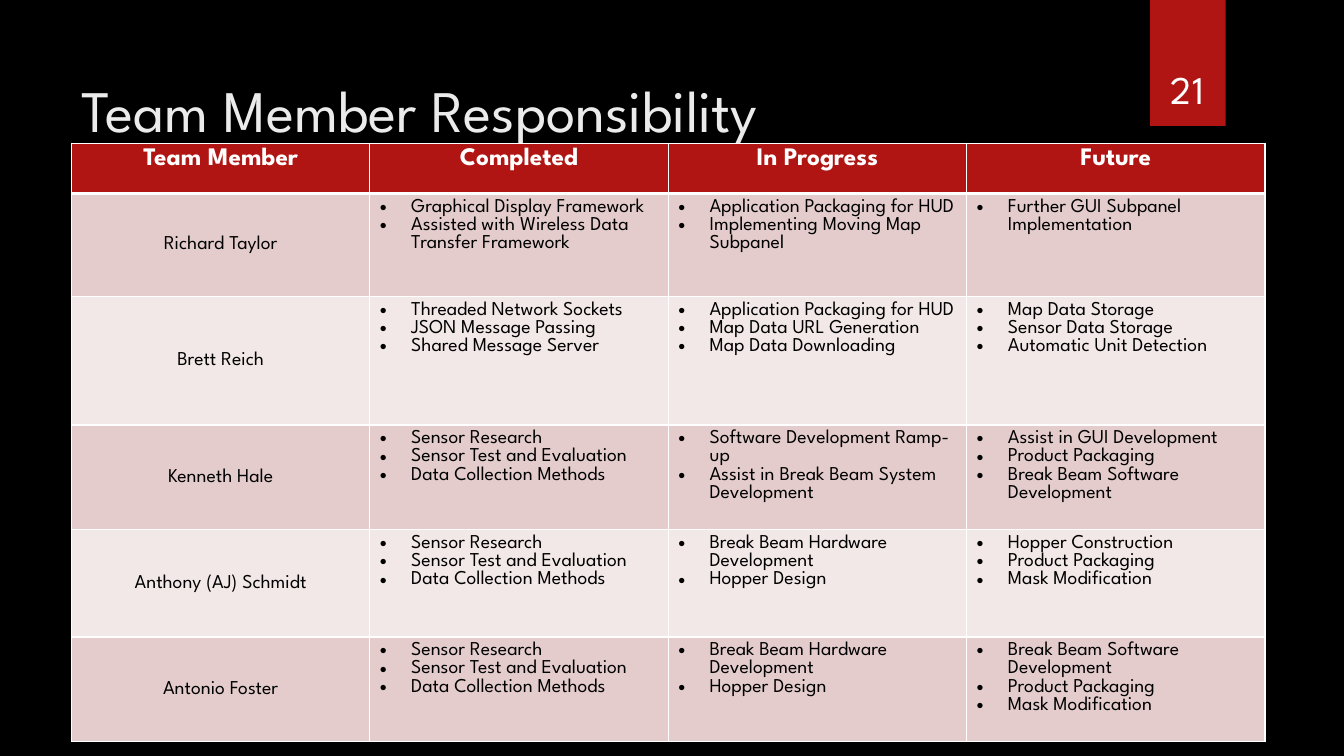
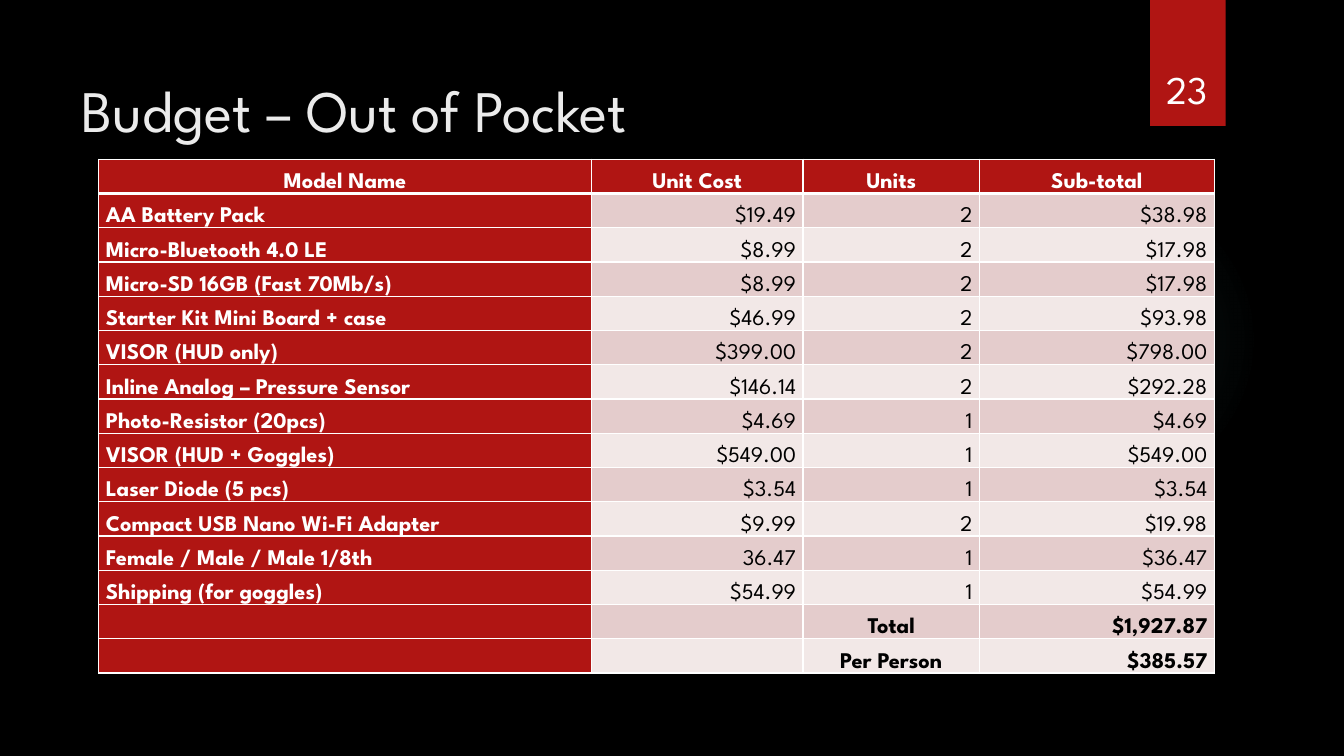
"""Build two project slides: team responsibilities and out-of-pocket budget."""
from lxml.etree import SubElement
from pptx import Presentation
from pptx.dml.color import RGBColor
from pptx.enum.shapes import MSO_SHAPE
from pptx.enum.text import MSO_ANCHOR, PP_ALIGN
from pptx.oxml import parse_xml
from pptx.oxml.ns import nsdecls, qn
from pptx.util import Inches, Pt

FONT = "League Spartan"
BLACK = RGBColor(0x00, 0x00, 0x00)
WHITE = RGBColor(0xFF, 0xFF, 0xFF)
TITLE_GREY = RGBColor(0xEB, 0xEB, 0xEB)
RED = RGBColor(0xB0, 0x15, 0x13)
DARK_BAND = RGBColor(0xE4, 0xCC, 0xCC)
LIGHT_BAND = RGBColor(0xF2, 0xE8, 0xE7)
GLOW = RGBColor(0x50, 0xB9, 0xC1)

COLUMNS, ROWS = 80, 45
UNIT = Inches(7.5) // ROWS

SENSOR_WORK = ["Sensor Research", "Sensor Test and Evaluation", "Data Collection Methods"]
BEAM_WORK = ["Break Beam Hardware Development", "Hopper Design"]
TEAM_HEADINGS = ["Team Member", "Completed", "In Progress", "Future"]
TEAM = [
    ("Richard Taylor",
     ["Graphical Display Framework", "Assisted with Wireless Data Transfer Framework"],
     ["Application Packaging for HUD", "Implementing Moving Map Subpanel"],
     ["Further GUI Subpanel Implementation"]),
    ("Brett Reich",
     ["Threaded Network Sockets", "JSON Message Passing", "Shared Message Server"],
     ["Application Packaging for HUD", "Map Data URL Generation", "Map Data Downloading"],
     ["Map Data Storage", "Sensor Data Storage", "Automatic Unit Detection"]),
    ("Kenneth Hale",
     SENSOR_WORK,
     ["Software Development Ramp-up", "Assist in Break Beam System Development"],
     ["Assist in GUI Development", "Product Packaging", "Break Beam Software Development"]),
    ("Anthony (AJ) Schmidt",
     SENSOR_WORK,
     BEAM_WORK,
     ["Hopper Construction", "Product Packaging", "Mask Modification"]),
    ("Antonio Foster",
     SENSOR_WORK,
     BEAM_WORK,
     ["Break Beam Software Development", "Product Packaging", "Mask Modification"]),
]

BUDGET_HEADINGS = ["Model Name", "Unit Cost", "Units", "Sub-total"]
PURCHASES = [
    ("AA Battery Pack", "$19.49", "2", "$38.98"),
    ("Micro-Bluetooth 4.0 LE", "$8.99", "2", "$17.98"),
    ("Micro-SD 16GB (Fast 70Mb/s)", "$8.99", "2", "$17.98"),
    ("Starter Kit Mini Board + case", "$46.99", "2", "$93.98"),
    ("VISOR (HUD only)", "$399.00", "2", "$798.00"),
    ("Inline Analog – Pressure Sensor", "$146.14", "2", "$292.28"),
    ("Photo-Resistor (20pcs)", "$4.69", "1", "$4.69"),
    ("VISOR (HUD + Goggles)", "$549.00", "1", "$549.00"),
    ("Laser Diode (5 pcs)", "$3.54", "1", "$3.54"),
    ("Compact USB Nano Wi-Fi Adapter", "$9.99", "2", "$19.98"),
    ("Female / Male / Male 1/8th", "36.47", "1", "$36.47"),
    ("Shipping (for goggles)", "$54.99", "1", "$54.99"),
]
TOTALS = [("", "", "Total", "$1,927.87"), ("", "", "Per Person", "$385.57")]


def grid(*lengths):
    """Turn grid columns or rows into slide lengths."""
    return [round(length * UNIT) for length in lengths]


class Deck:
    """Hold the shared style and the slide being built."""

    def __init__(self):
        """Start a widescreen deck on a black master."""
        self.presentation = Presentation()
        self.presentation.slide_width = COLUMNS * UNIT
        self.presentation.slide_height = ROWS * UNIT
        backdrop = self.presentation.slide_master.background.fill
        backdrop.solid()
        backdrop.fore_color.rgb = BLACK
        self.slide = None

    def new_slide(self, heading, number):
        """Add a slide with its title, glow and numbered ribbon."""
        layout = self.presentation.slide_layouts.get_by_name("Title Only")
        self.slide = self.presentation.slides.add_slide(layout)
        self.title(heading)
        self.glow()
        self.ribbon(number)

    def set_text(self, paragraph, text, size, color, bold=False, align=PP_ALIGN.LEFT):
        """Fill one paragraph in the shared font."""
        paragraph.text = text
        paragraph.alignment = align
        font = paragraph.font
        font.name, font.size, font.bold = FONT, Pt(size), bold
        font.color.rgb = color

    def title(self, heading):
        """Place and format the title placeholder."""
        title = self.slide.shapes.title
        title.left, title.top, title.width, title.height = grid(4.26, 3, 61.74, 9.18)
        frame = title.text_frame
        frame.vertical_anchor = MSO_ANCHOR.TOP
        frame.margin_top = Inches(0.23)
        self.set_text(frame.paragraphs[0], heading, 42, TITLE_GREY)

    def shape(self, preset, *box):
        """Add a preset shape with neither line nor shadow."""
        shape = self.slide.shapes.add_shape(preset, *grid(*box))
        shape.shadow.inherit = False
        shape.line.fill.background()
        return shape

    def glow(self):
        """Add the faint round glow behind the content."""
        glow = self.shape(MSO_SHAPE.OVAL, 56.46, 10.98, 18.48, 18.48)
        stops = "".join(
            f'<a:gs pos="{share * 1000}"><a:srgbClr val="{GLOW}">'
            f'<a:alpha val="{alpha * 1000}"/></a:srgbClr></a:gs>'
            for share, alpha in ((0, 7), (36, 6), (69, 0), (100, 0)))
        gradient = parse_xml(
            f'<a:gradFill {nsdecls("a")}><a:gsLst>{stops}</a:gsLst><a:path path="circle">'
            '<a:fillToRect l="50000" t="50000" r="50000" b="50000"/></a:path></a:gradFill>')
        glow._element.spPr.find(qn("a:prstGeom")).addnext(gradient)

    def ribbon(self, number):
        """Add the red ribbon and the slide number on it."""
        ribbon = self.shape(MSO_SHAPE.RECTANGLE, 68.46, 0, 4.5, 7.5)
        ribbon.fill.solid()
        ribbon.fill.fore_color.rgb = RED
        label = self.slide.shapes.add_textbox(*grid(67.92, 1.92, 5.52, 5.04)).text_frame
        label.word_wrap = True
        label.vertical_anchor = MSO_ANCHOR.BOTTOM
        self.set_text(label.paragraphs[0], number, 28, WHITE, align=PP_ALIGN.CENTER)

    def table(self, left, top, widths, heights):
        """Add a table with red headings, pink bands and white rules."""
        box = grid(left, top, sum(widths), sum(heights))
        table = self.slide.shapes.add_table(len(heights), len(widths), *box).table
        for column, width in zip(table.columns, grid(*widths)):
            column.width = width
        for index, (row, height) in enumerate(zip(table.rows, grid(*heights))):
            row.height = height
            for cell in row.cells:
                self.rules(cell, 3 if index == 1 else 1, 3 if index == 0 else 1)
                self.fill(cell, RED if index == 0 else (LIGHT_BAND, DARK_BAND)[index % 2])
        return table

    def fill(self, cell, color):
        """Fill a cell with one colour."""
        cell.fill.solid()
        cell.fill.fore_color.rgb = color

    def rules(self, cell, above, below):
        """Draw white rules around a cell."""
        properties = cell._tc.get_or_add_tcPr()
        for side, width in (("L", 1), ("R", 1), ("T", above), ("B", below)):
            rule = SubElement(properties, qn(f"a:ln{side}"), w=str(Pt(width)))
            paint = SubElement(rule, qn("a:solidFill"))
            SubElement(paint, qn("a:srgbClr"), val=str(WHITE))

    def bullets(self, cell, items):
        """List items as bullets in a cell."""
        frame = cell.text_frame
        for index, item in enumerate(items):
            paragraph = frame.add_paragraph() if index else frame.paragraphs[0]
            properties = paragraph._p.get_or_add_pPr()
            indent = Inches(0.31)
            properties.set("marL", str(indent))
            properties.set("indent", str(-indent))
            SubElement(properties, qn("a:buFont"), typeface="Arial")
            SubElement(properties, qn("a:buChar"), char="•")
            self.set_text(paragraph, item, 14, BLACK)

    def team_table(self):
        """Add the table of tasks by team member."""
        table = self.table(4.26, 8.52, [17.76] * 4, [3, 6.14, 7.64, 6.24, 6.38, 6.24])
        for cell, heading in zip(table.rows[0].cells, TEAM_HEADINGS):
            self.set_text(cell.text_frame.paragraphs[0], heading, 18, WHITE, True,
                          PP_ALIGN.CENTER)
        for index, (member, *stages) in enumerate(TEAM, 1):
            name_cell, *stage_cells = table.rows[index].cells
            name_cell.vertical_anchor = MSO_ANCHOR.MIDDLE
            self.set_text(name_cell.text_frame.paragraphs[0], member, 14, BLACK,
                          align=PP_ALIGN.CENTER)
            for cell, tasks in zip(stage_cells, stages):
                self.bullets(cell, tasks)

    def budget_table(self):
        """Add the table of purchases and totals."""
        entries = [BUDGET_HEADINGS, *PURCHASES, *TOTALS]
        table = self.table(5.88, 9.48, [29.32, 12.6, 10.5, 13.98], [2.04] * len(entries))
        table.first_col = True
        first_total = len(entries) - len(TOTALS)
        for row, entry in enumerate(entries):
            for column, text in enumerate(entry):
                cell = table.cell(row, column)
                cell.vertical_anchor = MSO_ANCHOR.BOTTOM
                cell.margin_left = cell.margin_right = Inches(0.07)
                cell.margin_top = cell.margin_bottom = 0
                on_red = row == 0 or column == 0
                is_total = row >= first_total
                if on_red:
                    self.fill(cell, RED)
                if row == 0 or (is_total and column == 2):
                    align = PP_ALIGN.CENTER
                else:
                    align = PP_ALIGN.RIGHT if column else PP_ALIGN.JUSTIFY
                paragraph = cell.text_frame.paragraphs[0]
                if text:
                    paragraph.line_spacing = 1.15
                self.set_text(paragraph, text, 16, WHITE if on_red else BLACK,
                              on_red or is_total, align)


def main():
    """Build and save the deck."""
    deck = Deck()
    deck.new_slide("Team Member Responsibility", "21")
    deck.team_table()
    deck.new_slide("Budget – Out of Pocket", "23")
    deck.budget_table()
    deck.presentation.save("out.pptx")


if __name__ == "__main__":
    main()
